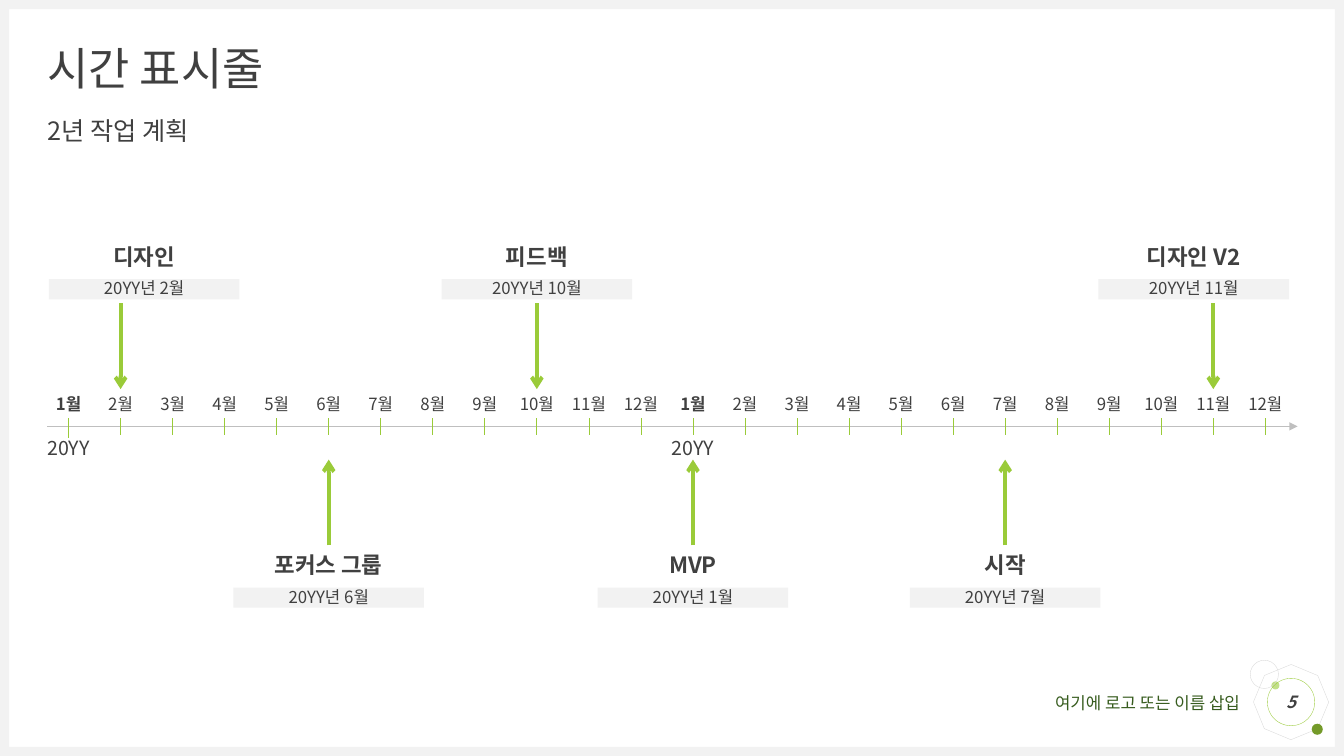
from dataclasses import dataclass
from typing import Optional

from lxml.etree import SubElement
from pptx import Presentation
from pptx.dml.color import RGBColor
from pptx.enum.shapes import MSO_CONNECTOR, MSO_SHAPE
from pptx.enum.text import MSO_ANCHOR, MSO_AUTO_SIZE, PP_ALIGN
from pptx.oxml.ns import qn
from pptx.util import Inches, Pt

FONT = "Noto Sans CJK KR"
DARK, GREEN, PALE, GRAY = "404040", "9ACB39", "F2F2F2", "D9D9D9"
WIDE, HIGH, EDGE = 13.33, 7.5, 0.09
FIRST, STEP = 0.68, 11.87 / 23
AXIS = 4.23


@dataclass
class Event:
    name: str
    date: str
    month: int
    above: bool
    mid: Optional[float] = None  # label centre, when not over its month


@dataclass
class Dot:
    kind: MSO_SHAPE
    left: float
    top: float
    size: float
    fill: Optional[str] = None
    line: Optional[str] = None
    turn: float = 0


EVENTS = [
    Event("디자인", "20YY년 2월", 1, True, 1.43),
    Event("포커스 그룹", "20YY년 6월", 5, False),
    Event("피드백", "20YY년 10월", 9, True),
    Event("MVP", "20YY년 1월", 12, False),
    Event("시작", "20YY년 7월", 18, False),
    Event("디자인 V2", "20YY년 11월", 22, True, 11.84),
]
DOTS = [
    Dot(MSO_SHAPE.OCTAGON, 12.46, 6.62, 0.69, line=GRAY, turn=22.7),
    Dot(MSO_SHAPE.OVAL, 12.61, 6.76, 0.08, fill="C2E088"),
    Dot(MSO_SHAPE.OVAL, 13.01, 7.18, 0.11, fill="749A29"),
    Dot(MSO_SHAPE.OVAL, 12.4, 6.55, 0.28, line=GRAY),
]


def rgb(code: str) -> RGBColor:
    return RGBColor.from_string(code)


def month_x(month: int) -> float:
    return FIRST + month * STEP


def write(shape, text: str, size: float, color: str = DARK, bold: bool = False,
          italic: bool = False, align=PP_ALIGN.CENTER, anchor=MSO_ANCHOR.TOP,
          inset: float = 0, space: float = 0.9) -> None:
    frame = shape.text_frame
    frame.word_wrap = True
    frame.auto_size = MSO_AUTO_SIZE.NONE
    frame.vertical_anchor = anchor
    frame.margin_left = frame.margin_right = frame.margin_bottom = 0
    frame.margin_top = Inches(inset)
    frame.text = text
    para = frame.paragraphs[0]
    props = para._p.get_or_add_pPr()
    props.set("marL", "0")
    props.set("indent", "0")
    SubElement(props, qn("a:buNone"))
    para.alignment = align
    para.line_spacing = space
    para.space_before = Pt(0)
    font = para.font
    font.name, font.size = FONT, Pt(size)
    font.bold, font.italic = bold, italic
    font.color.rgb = rgb(color)
    SubElement(font._rPr, qn("a:ea")).set("typeface", FONT)


def place(shape, left: float, top: float, width: float, height: float):
    shape.left, shape.top = Inches(left), Inches(top)
    shape.width, shape.height = Inches(width), Inches(height)
    return shape


def add_text(slide, left: float, top: float, width: float, height: float):
    return slide.shapes.add_textbox(Inches(left), Inches(top), Inches(width), Inches(height))


def add_form(slide, kind, left: float, top: float, width: float, height: float,
             fill: Optional[str] = None, line: Optional[str] = None):
    shape = slide.shapes.add_shape(kind, Inches(left), Inches(top), Inches(width), Inches(height))
    shape.shadow.inherit = False
    if fill:
        shape.fill.solid()
        shape.fill.fore_color.rgb = rgb(fill)
    else:
        shape.fill.background()
    if line:
        shape.line.color.rgb = rgb(line)
        shape.line.width = Pt(0.25)
    else:
        shape.line.fill.background()
    return shape


def add_line(shapes, x1: float, y1: float, x2: float, y2: float,
             color: str, width: float, head: Optional[str] = None):
    line = shapes.add_connector(MSO_CONNECTOR.STRAIGHT, Inches(x1), Inches(y1),
                                Inches(x2), Inches(y2))
    line.line.color.rgb = rgb(color)
    line.line.width = Pt(width)
    if head:
        SubElement(line.line._get_or_add_ln(), qn("a:tailEnd")).set("type", head)
    SubElement(line._element.spPr, qn("a:effectLst"))
    return line


def add_event(slide, event: Event) -> None:
    x = month_x(event.month)
    mid = event.mid or x
    top = 2.4 if event.above else 5.46
    label = add_text(slide, mid - 0.98, top, 1.96, 0.61)
    write(label, event.name, 16, bold=True, inset=0.04)
    date = add_form(slide, MSO_SHAPE.RECTANGLE, mid - 0.945, top + 0.37, 1.89, 0.2, PALE)
    write(date, event.date, 12, anchor=MSO_ANCHOR.MIDDLE)
    start, end = (3.01, 3.86) if event.above else (5.41, 4.56)
    arrow = add_line(slide.shapes, x, start, x, end, GREEN, 2.75, "arrow")
    if event.above and event.mid is None:
        arrow.begin_connect(label, 2)


def main() -> None:
    deck = Presentation()
    deck.slide_width, deck.slide_height = Inches(WIDE), Inches(HIGH)
    slide = deck.slides.add_slide(deck.slide_layouts[1])

    # Title and subtitle
    title = place(slide.shapes.title, 0.47, 0.47, 12.4, 0.47)
    write(title, "시간 표시줄", 32, align=PP_ALIGN.LEFT, anchor=MSO_ANCHOR.MIDDLE)
    body = place(slide.placeholders[1], 0.47, 1.18, 12.4, 0.3)
    write(body, "2년 작업 계획", 18, align=PP_ALIGN.LEFT)

    # Frame around the slide
    for left, top, width, height in [
        (0, HIGH - EDGE, WIDE, EDGE), (0, 0, WIDE, EDGE),
        (0, 0, EDGE, HIGH), (WIDE - EDGE, 0, EDGE, HIGH),
    ]:
        add_form(slide, MSO_SHAPE.RECTANGLE, left, top, width, height, PALE)

    # Footer and page number
    for dot in DOTS:
        form = add_form(slide, dot.kind, dot.left, dot.top, dot.size, dot.size, dot.fill, dot.line)
        form.rotation = dot.turn
    foot = add_text(slide, 9.55, 6.87, 2.75, 0.2)
    write(foot, "여기에 로고 또는 이름 삽입", 12, "375C1E", align=PP_ALIGN.RIGHT, space=1.0)
    page = add_form(slide, MSO_SHAPE.OVAL, 12.57, 6.73, 0.47, 0.47, line=GREEN)
    write(page, "5", 12, bold=True, italic=True, anchor=MSO_ANCHOR.MIDDLE, space=1.0)

    # Axis with months, ticks and years
    add_line(slide.shapes, 0.47, AXIS, 12.87, AXIS, "BFBFBF", 0.5, "triangle")
    ticks = slide.shapes.add_group_shape()
    for month in range(24):
        x = month_x(month)
        new_year = month % 12 == 0
        label = add_text(slide, x - 0.205, 3.93, 0.41, 0.22)
        write(label, f"{month % 12 + 1}월", 12, bold=new_year)
        add_line(ticks.shapes, x, 4.15, x, 4.35 if month == 0 else 4.32,
                 GREEN, 0.5 if month < 12 else 0.25)
        if new_year:
            year = add_text(slide, x - 0.3, 4.35, 0.6, 0.22)
            write(year, "20YY", 14, anchor=MSO_ANCHOR.MIDDLE)

    # Events
    for event in EVENTS:
        add_event(slide, event)

    deck.save("out.pptx")


if __name__ == "__main__":
    main()
